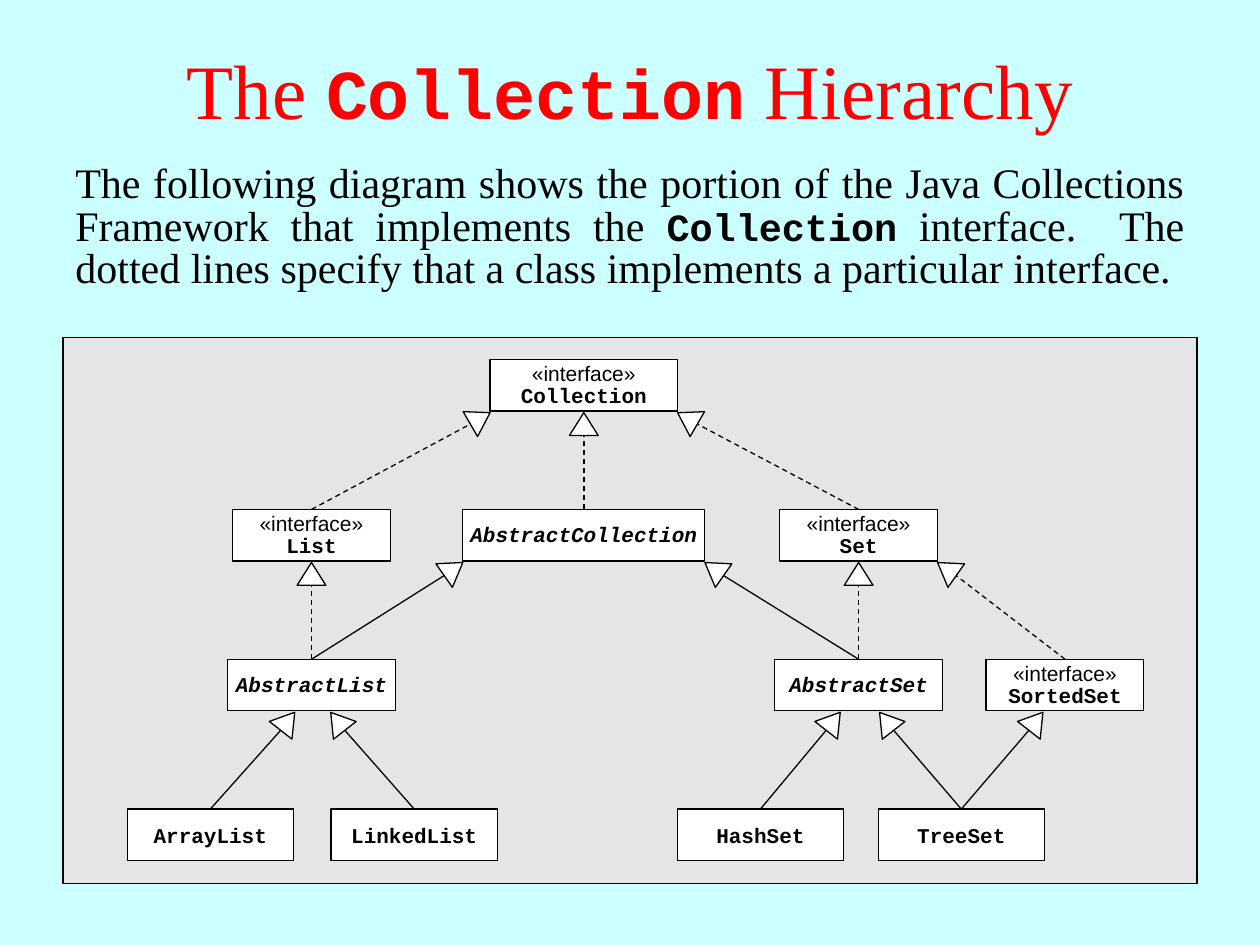
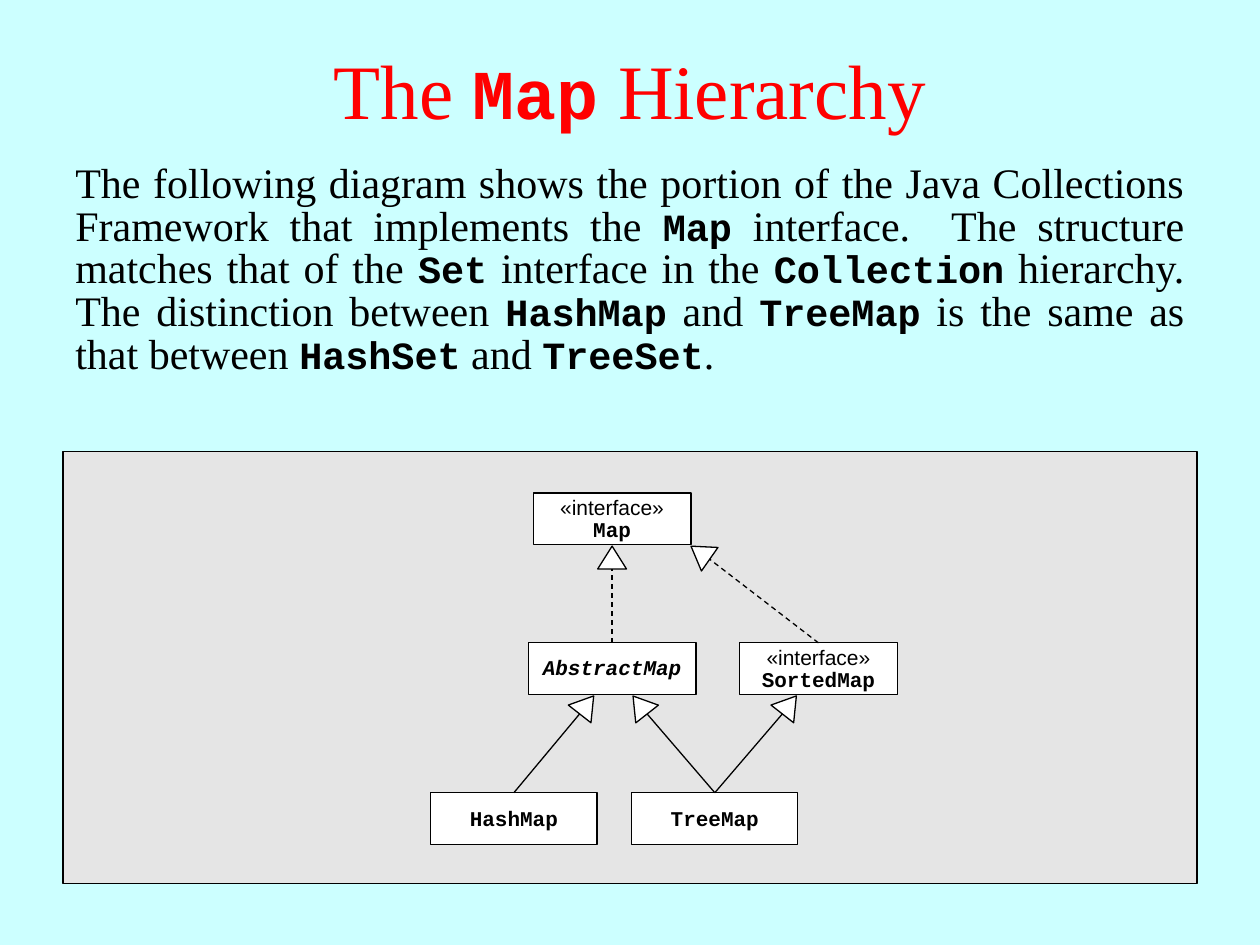
from dataclasses import dataclass
from math import cos, radians, sin

from lxml.etree import SubElement
from pptx import Presentation
from pptx.dml.color import RGBColor
from pptx.enum.dml import MSO_LINE
from pptx.enum.shapes import MSO_CONNECTOR, MSO_SHAPE
from pptx.enum.text import MSO_ANCHOR, MSO_AUTO_SIZE, PP_ALIGN
from pptx.oxml.ns import qn
from pptx.util import Cm, Pt

# Shared look
SKY = RGBColor(0xCC, 0xFF, 0xFF)
RED = RGBColor(0xFF, 0x00, 0x00)
GREY = RGBColor(0xE5, 0xE5, 0xE5)
WHITE = RGBColor(0xFF, 0xFF, 0xFF)
BLACK = RGBColor(0x00, 0x00, 0x00)
SERIF, SANS, MONO = "Times New Roman", "Arial", "Courier New"
LINE_WIDTH = Pt(0.75)

# Measures in centimetres
SLIDE_W, SLIDE_H = 25.4, 19.05
MARGIN = 1.27
CONTENT_W = SLIDE_W - 2 * MARGIN
PANEL_BOTTOM = 17.81
BOX_H, ROW_PITCH = 1.04, 3.02
HEAD_W, HEAD_H, HEAD_GAP = 0.58, 0.46, 0.03

# Kinds of type, with the usual box width of each
INTERFACE, ABSTRACT, CLASS = "interface", "abstract", "class"
BOX_W = {INTERFACE: 3.18, ABSTRACT: 3.38, CLASS: 3.35}


@dataclass(frozen=True)
class TypeBox:
    name: str
    kind: str
    x: float  # centre
    row: int
    width: float = 0  # 0 means the usual width of the kind

    @property
    def w(self) -> float:
        return self.width or BOX_W[self.kind]


@dataclass(frozen=True)
class Link:
    child: str
    parent: str
    reach: float  # arrow tip on the parent's lower side: -1 left, 0 middle, 1 right
    angle: float
    dotted: bool = False


@dataclass(frozen=True)
class HierarchySlide:
    title: str
    body: str
    body_h: float
    panel_top: float
    first_row: float
    boxes: list[TypeBox]
    links: list[Link]


def sorted_family(name: str, x: float, row: int) -> tuple[list[TypeBox], list[Link]]:
    """The subtree that Set and Map have in common."""
    boxes = [
        TypeBox(name, INTERFACE, x, row),
        TypeBox(f"Abstract{name}", ABSTRACT, x, row + 1),
        TypeBox(f"Sorted{name}", INTERFACE, x + 4.16, row + 1),
        TypeBox(f"Hash{name}", CLASS, x - 1.98, row + 2),
        TypeBox(f"Tree{name}", CLASS, x + 2.07, row + 2),
    ]
    links = [
        Link(f"Abstract{name}", name, 0, 0, True),
        Link(f"Sorted{name}", name, 1, 305, True),
        Link(f"Hash{name}", f"Abstract{name}", -0.22, 38),
        Link(f"Tree{name}", f"Abstract{name}", 0.25, 322),
        Link(f"Tree{name}", f"Sorted{name}", -0.28, 38),
    ]
    return boxes, links


SET_BOXES, SET_LINKS = sorted_family("Set", 17.31, 1)
MAP_BOXES, MAP_LINKS = sorted_family("Map", 12.34, 0)

# Words between backticks are set as code
SLIDES = [
    HierarchySlide(
        "The `Collection` Hierarchy",
        "The following diagram shows the portion of the Java Collections Framework "
        "that implements the `Collection` interface.  The dotted lines specify that "
        "a class implements a particular interface.",
        2.84, 6.8, 7.25,
        [
            TypeBox("Collection", INTERFACE, 11.77, 0, 3.78),
            TypeBox("List", INTERFACE, 6.28, 1),
            TypeBox("AbstractCollection", ABSTRACT, 11.77, 1, 4.88),
            TypeBox("AbstractList", ABSTRACT, 6.28, 2),
            TypeBox("ArrayList", CLASS, 4.24, 3),
            TypeBox("LinkedList", CLASS, 8.35, 3),
            *SET_BOXES,
        ],
        [
            Link("List", "Collection", -1, 60, True),
            Link("AbstractCollection", "Collection", 0, 0, True),
            Link("Set", "Collection", 1, 300, True),
            Link("AbstractList", "List", 0, 0, True),
            Link("AbstractList", "AbstractCollection", -1, 55),
            Link("AbstractSet", "AbstractCollection", 1, 305),
            Link("ArrayList", "AbstractList", -0.2, 38),
            Link("LinkedList", "AbstractList", 0.23, 322),
            *SET_LINKS,
        ],
    ),
    HierarchySlide(
        "The `Map` Hierarchy",
        "The following diagram shows the portion of the Java Collections Framework "
        "that implements the `Map` interface.  The structure matches that of the "
        "`Set` interface in the `Collection` hierarchy. The distinction between "
        "`HashMap` and `TreeMap` is the same as that between `HashSet` and `TreeSet`.",
        4.57, 9.1, 9.94, MAP_BOXES, MAP_LINKS,
    ),
]


def add_text(slide, top: float, left: float, width: float, height: float, text: str,
             size: int, code_size: int, color: RGBColor, align: PP_ALIGN):
    """Add a text box in which code words are bold Courier New."""
    sp = slide.shapes.add_textbox(Cm(left), Cm(top), Cm(width), Cm(height))
    tf = sp.text_frame
    tf.word_wrap = True
    p = tf.paragraphs[0]
    p.alignment = align
    p.font.color.rgb = color
    for i, part in enumerate(text.split("`")):
        is_code = i % 2 == 1
        r = p.add_run()
        r.text = part
        r.font.name = MONO if is_code else SERIF
        r.font.size = Pt(code_size if is_code else size)
        r.font.bold = is_code
    return tf


def add_outlined(slide, preset: MSO_SHAPE, left: float, top: float,
                 width: float, height: float, fill: RGBColor):
    sp = slide.shapes.add_shape(preset, Cm(left), Cm(top), Cm(width), Cm(height))
    sp.shadow.inherit = False
    sp.fill.solid()
    sp.fill.fore_color.rgb = fill
    sp.line.color.rgb = BLACK
    sp.line.width = LINE_WIDTH
    return sp


def style_label(p, text: str, spacing: float, is_name: bool, italic: bool = False) -> None:
    p.text = text
    p.alignment = PP_ALIGN.CENTER
    p.line_spacing = spacing
    p.font.name = MONO if is_name else SANS
    p.font.size = Pt(12)
    p.font.bold = is_name
    p.font.italic = italic
    p.font.color.rgb = BLACK


def add_type_box(slide, box: TypeBox, top: float):
    sp = add_outlined(slide, MSO_SHAPE.RECTANGLE, box.x - box.w / 2, top, box.w, BOX_H, WHITE)
    tf = sp.text_frame
    tf.word_wrap = False
    tf.vertical_anchor = MSO_ANCHOR.MIDDLE
    p = tf.paragraphs[0]
    if box.kind == INTERFACE:
        style_label(p, "«interface»", 0.95, False)
        style_label(tf.add_paragraph(), box.name, 0.85, True)
    elif box.kind == ABSTRACT:
        style_label(p, box.name, 0.95, True, italic=True)
    else:
        style_label(p, box.name, 1.0, True)
    return sp


def add_link(slide, link: Link, parent: TypeBox, parent_top: float, child_shape) -> None:
    """Draw a hollow arrowhead at the parent and a line from the child to its base."""
    tip_x = parent.x + link.reach * parent.w / 2
    tip_y = parent_top + BOX_H + HEAD_GAP
    dx, dy = sin(radians(link.angle)), -cos(radians(link.angle))
    mid_x, mid_y = tip_x - dx * HEAD_H / 2, tip_y - dy * HEAD_H / 2
    head = add_outlined(slide, MSO_SHAPE.ISOSCELES_TRIANGLE, mid_x - HEAD_W / 2,
                        mid_y - HEAD_H / 2, HEAD_W, HEAD_H, WHITE)
    head.rotation = link.angle

    base_x, base_y = Cm(tip_x - dx * HEAD_H), Cm(tip_y - dy * HEAD_H)
    line = slide.shapes.add_connector(MSO_CONNECTOR.STRAIGHT, base_x, base_y, base_x, base_y)
    line.begin_connect(child_shape, 0)
    line.line.color.rgb = BLACK
    line.line.width = LINE_WIDTH
    if link.dotted:
        line.line.dash_style = MSO_LINE.DASH
    SubElement(line._element.spPr, qn("a:effectLst"))


def add_hierarchy_slide(prs, content: HierarchySlide) -> None:
    slide = prs.slides.add_slide(prs.slide_layouts[6])
    slide.background.fill.solid()
    slide.background.fill.fore_color.rgb = SKY

    # Title and explanation
    tf = add_text(slide, 0.2, 0, SLIDE_W, 3.18, content.title, 44, 40, RED, PP_ALIGN.CENTER)
    tf.vertical_anchor = MSO_ANCHOR.MIDDLE
    tf = add_text(slide, 3.18, MARGIN, CONTENT_W, content.body_h, content.body,
                  24, 22, BLACK, PP_ALIGN.JUSTIFY)
    tf.auto_size = MSO_AUTO_SIZE.SHAPE_TO_FIT_TEXT
    tf.paragraphs[0].line_spacing = 0.85

    # Diagram
    add_outlined(slide, MSO_SHAPE.RECTANGLE, MARGIN, content.panel_top, CONTENT_W,
                 PANEL_BOTTOM - content.panel_top, GREY)
    boxes = {box.name: box for box in content.boxes}
    tops = {box.name: content.first_row + box.row * ROW_PITCH for box in content.boxes}
    shapes = {name: add_type_box(slide, box, tops[name]) for name, box in boxes.items()}
    for link in content.links:
        add_link(slide, link, boxes[link.parent], tops[link.parent], shapes[link.child])


def main() -> None:
    prs = Presentation()
    prs.slide_width, prs.slide_height = Cm(SLIDE_W), Cm(SLIDE_H)
    for content in SLIDES:
        add_hierarchy_slide(prs, content)
    prs.save("out.pptx")


if __name__ == "__main__":
    main()
